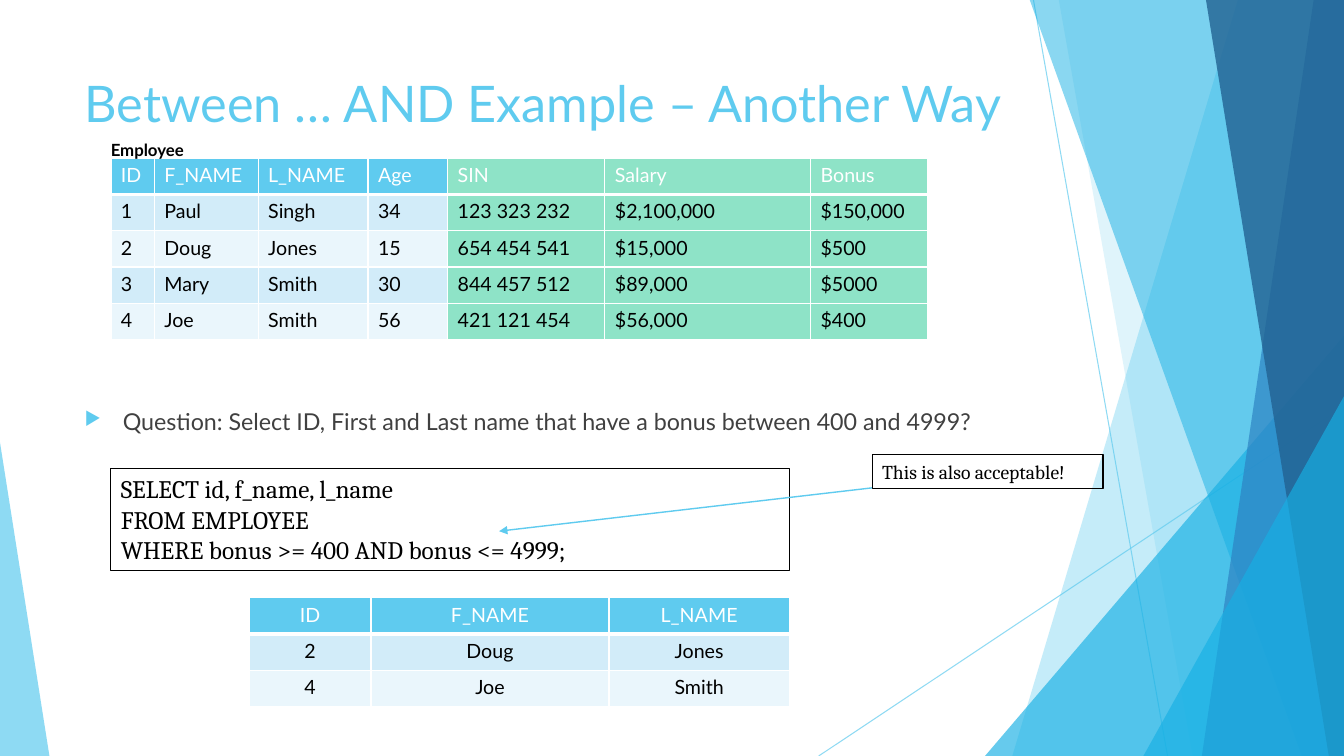
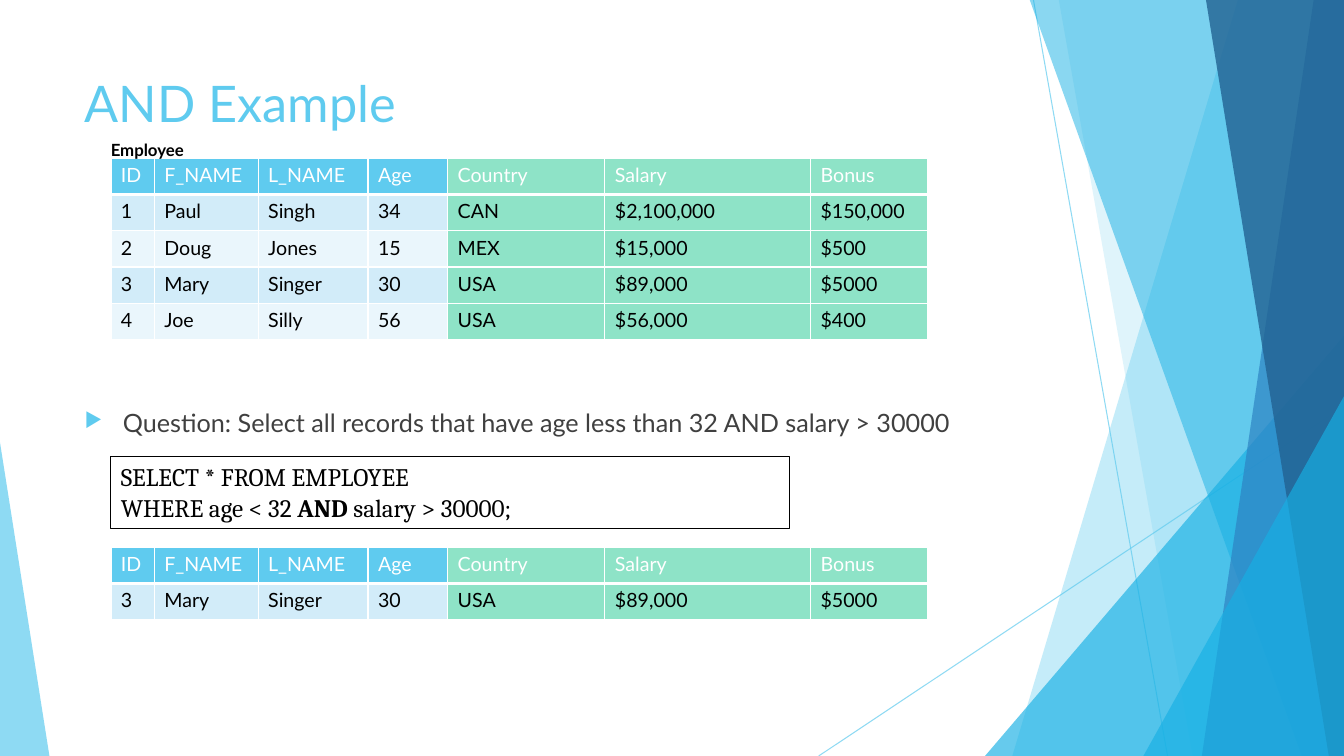
import pptx
import pptx.dml.color
import pptx.enum.shapes
import pptx.enum.text
import pptx.oxml
import pptx.oxml.ns
import pptx.util

Inches = pptx.util.Inches
Pt = pptx.util.Pt
qn = pptx.oxml.ns.qn
ALIGN = pptx.enum.text.PP_ALIGN
ANCHOR = pptx.enum.text.MSO_ANCHOR
SHAPE = pptx.enum.shapes.MSO_SHAPE
STRAIGHT = pptx.enum.shapes.MSO_CONNECTOR.STRAIGHT

COLORS = {
    "sky": "5FCBEF", "azure": "17B0E4", "blue": "2E83C3", "navy": "226292",
    "mint": "8EE3C7", "odd row": "D2ECF9", "even row": "EAF6FC",
    "white": "FFFFFF", "black": "000000", "gray": "404040",
}
HEADING_FONT, CODE_FONT = "Lato", "Cambria"
WIDTH, HEIGHT = 13.33, 7.5
ROW_HEIGHT = 0.36
EMPLOYEE_COLUMNS = [0.43, 1.03, 1.09, 0.79, 1.56, 2.04, 1.16]
TABLE_LEFT, CODE_WIDTH = 1.1, 6.73

# Facets, back to front: a band runs from its left edge to the right side of the slide.
FACETS = [
    ("line", (10.25, 0, 11.58, HEIGHT), "sky", 70),
    ("line", (WIDTH, 4.03, 8.12, HEIGHT), "sky", 70),
    ("band", (12.28, 10.04), "sky", 36),
    ("band", (10.5, 11.83), "sky", 20),
    ("triangle", (9.77, 3.33, 3.56, 1), "azure", 66),
    ("band", (10.21, 12.91), "azure", 50),
    ("band", (13.03, 11.92), "blue", 70),
    ("band", (11.96, 13.18), "navy", 80),
    ("triangle", (11.34, 3.93, 1.99, 1), "azure", 66),
    ("triangle", (0, 4.39, 0.49, 0), "sky", 70),
]

SLIDES = [
    {
        "title": "Between … AND Example – Another Way",
        "employees": [
            ["ID", "F_NAME", "L_NAME", "Age", "SIN", "Salary", "Bonus"],
            ["1", "Paul", "Singh", "34", "123 323 232", "$2,100,000", "$150,000"],
            ["2", "Doug", "Jones", "15", "654 454 541", "$15,000", "$500"],
            ["3", "Mary", "Smith", "30", "844 457 512", "$89,000", "$5000"],
            ["4", "Joe", "Smith", "56", "421 121 454", "$56,000", "$400"],
        ],
        "question": "Question: Select ID, First and Last name that have a bonus between 400 and 4999?",
        "question size": 16.6,
        "query": ["SELECT id, f_name, l_name", "FROM EMPLOYEE",
                  "WHERE bonus >= 400 AND bonus <= 4999;"],
        "query top": 4.65, "query height": 1.01,
        "result": [["ID", "F_NAME", "L_NAME"], ["2", "Doug", "Jones"], ["4", "Joe", "Smith"]],
        "result place": (2.47, 5.93), "result columns": [1.21, 2.36, 1.79],
        "result align": ALIGN.CENTER,
        "remark": "This is also acceptable!",
    },
    {
        "title": "AND Example",
        "employees": [
            ["ID", "F_NAME", "L_NAME", "Age", "Country", "Salary", "Bonus"],
            ["1", "Paul", "Singh", "34", "CAN", "$2,100,000", "$150,000"],
            ["2", "Doug", "Jones", "15", "MEX", "$15,000", "$500"],
            ["3", "Mary", "Singer", "30", "USA", "$89,000", "$5000"],
            ["4", "Joe", "Silly", "56", "USA", "$56,000", "$400"],
        ],
        "question": "Question: Select all records that have age less than 32 AND salary > 30000",
        "question size": 18,
        "query": ["SELECT * FROM EMPLOYEE",
                  [("WHERE age < 32 ", False), ("AND", True), (" salary > 30000;", False)]],
        "query top": 4.53, "query height": 0.71,
        "result": [
            ["ID", "F_NAME", "L_NAME", "Age", "Country", "Salary", "Bonus"],
            ["3", "Mary", "Singer", "30", "USA", "$89,000", "$5000"],
        ],
        "result place": (TABLE_LEFT, 5.43), "result columns": EMPLOYEE_COLUMNS,
        "result align": ALIGN.LEFT,
    },
]


def rgb(name):
    return pptx.dml.color.RGBColor.from_string(COLORS[name])


def add_child(parent, tag, **attributes):
    child = pptx.oxml.parse_xml(f'<{tag} {pptx.oxml.ns.nsdecls("a")}/>')
    for name, value in attributes.items():
        child.set(name, str(value))
    parent.append(child)
    return child


def set_opacity(element, percent):
    for color in element.iter(qn("a:srgbClr")):
        add_child(color, "a:alpha", val=percent * 1000)


def write_text(frame, lines, size=14, font=HEADING_FONT, color="black", bold=False,
               align=ALIGN.LEFT, bullet=False):
    """Fill a text frame; a line is a string or a list of (text, bold) runs."""
    frame.word_wrap = True
    for index, line in enumerate(lines):
        paragraph = frame.paragraphs[0] if index == 0 else frame.add_paragraph()
        paragraph.alignment = align
        if bullet:
            properties = paragraph._p.get_or_add_pPr()
            properties.set("marL", str(Inches(0.38)))
            properties.set("indent", str(-Inches(0.38)))
            add_child(add_child(properties, "a:buClr"), "a:srgbClr", val=COLORS["sky"])
            add_child(properties, "a:buSzPct", val=80000)
            add_child(properties, "a:buChar", char="▶")
        for text, run_bold in [(line, bold)] if isinstance(line, str) else line:
            run = paragraph.add_run()
            run.text = text
            run.font.name = font
            run.font.size = Pt(size)
            run.font.bold = run_bold
            run.font.color.rgb = rgb(color)


def add_text(slide, place, lines, **text_format):
    box = slide.shapes.add_textbox(*map(Inches, place))
    write_text(box.text_frame, lines, **text_format)


def add_code_box(slide, place, lines, size):
    box = slide.shapes.add_shape(SHAPE.RECTANGLE, *map(Inches, place))
    box.shadow.inherit = False
    box.fill.background()
    box.line.color.rgb = rgb("black")
    box.line.width = Pt(0.75)
    box.text_frame.vertical_anchor = ANCHOR.TOP
    write_text(box.text_frame, lines, size=size, font=CODE_FONT)


def add_line(shapes, ends, width):
    line = shapes.add_connector(STRAIGHT, *map(Inches, ends))
    line.line.color.rgb = rgb("sky")
    line.line.width = Pt(width)
    add_child(line.element.spPr, "a:effectLst")
    return line


def add_table(slide, place, columns, rows, align=ALIGN.LEFT):
    """Add a table whose columns after the fourth are mint."""
    size = (sum(columns), ROW_HEIGHT * len(rows))
    table = slide.shapes.add_table(len(rows), len(columns), *map(Inches, place + size)).table
    for column, width in zip(table.columns, columns):
        column.width = Inches(width)
    for row_index, row in enumerate(rows):
        table.rows[row_index].height = Inches(ROW_HEIGHT)
        header = row_index == 0
        row_color = "sky" if header else "odd row" if row_index % 2 else "even row"
        for column_index, text in enumerate(row):
            cell = table.cell(row_index, column_index)
            for side in "LRTB":
                points = 3 if header and side == "B" else 1
                border = add_child(cell._tc.get_or_add_tcPr(), f"a:ln{side}", w=Pt(points))
                add_child(add_child(border, "a:solidFill"), "a:srgbClr", val=COLORS["white"])
            cell.fill.solid()
            cell.fill.fore_color.rgb = rgb("mint" if column_index > 3 else row_color)
            write_text(cell.text_frame, [text], align=align,
                       color="white" if header else "black")


def add_facets(slide, layout):
    """Draw the facets as a group and hand the group over to the layout."""
    group = slide.shapes.add_group_shape()
    for kind, place, color, opacity in FACETS:
        if kind == "line":
            facet = add_line(group.shapes, place, 0.75)
        else:
            if kind == "band":
                top_left, bottom_left = place
                corners = [(WIDTH, -0.01), (WIDTH, HEIGHT), (bottom_left, HEIGHT)]
                outline = group.shapes.build_freeform(Inches(top_left), Inches(-0.01))
                outline.add_line_segments([tuple(map(Inches, corner)) for corner in corners])
                facet = outline.convert_to_shape()
            else:
                left, top, width, apex = place
                facet = group.shapes.add_shape(
                    SHAPE.ISOSCELES_TRIANGLE, *map(Inches, (left, top, width, HEIGHT - top)))
                facet.adjustments[0] = apex
            facet.shadow.inherit = False
            facet.fill.solid()
            facet.fill.fore_color.rgb = rgb(color)
            facet.line.fill.background()
        set_opacity(facet.element, opacity)
    for number, properties in enumerate(group.element.iter(qn("p:cNvPr")), start=101):
        properties.set("id", str(number))
    layout.shapes.element.insert(2, group.element)


def add_title(slide, text):
    title = slide.shapes.title
    title.left, title.top, title.width, title.height = map(Inches, (0.74, 0.67, 9.4, 1.44))
    title.text_frame.vertical_anchor = ANCHOR.TOP
    write_text(title.text_frame, [text], size=36, color="sky")


def add_remark(slide, text):
    left, top, width, height = 8.65, 4.51, 2.29, 0.34
    arrow = add_line(slide.shapes, (left, 4.84, 4.95, 5.27), 1)
    add_child(arrow.line._get_or_add_ln(), "a:tailEnd", type="triangle")
    add_code_box(slide, (left, top, width, height), [text], 14)


def main():
    presentation = pptx.Presentation()
    presentation.slide_width, presentation.slide_height = Inches(WIDTH), Inches(HEIGHT)
    layout = presentation.slide_layouts[5]
    for index, content in enumerate(SLIDES):
        slide = presentation.slides.add_slide(layout)
        if index == 0:
            add_facets(slide, layout)
        add_title(slide, content["title"])
        add_text(slide, (0.74, 3.99, 9.4, 0.63), [content["question"]],
                 size=content["question size"], color="gray", bullet=True)
        add_table(slide, (TABLE_LEFT, 1.57), EMPLOYEE_COLUMNS, content["employees"])
        add_text(slide, (1, 1.34, 2.15, 0.3), ["Employee"], size=12, bold=True)
        add_code_box(slide, (TABLE_LEFT, content["query top"], CODE_WIDTH, content["query height"]),
                     content["query"], 18)
        add_table(slide, content["result place"], content["result columns"],
                  content["result"], content["result align"])
        if "remark" in content:
            add_remark(slide, content["remark"])
    presentation.save("out.pptx")


if __name__ == "__main__":
    main()
